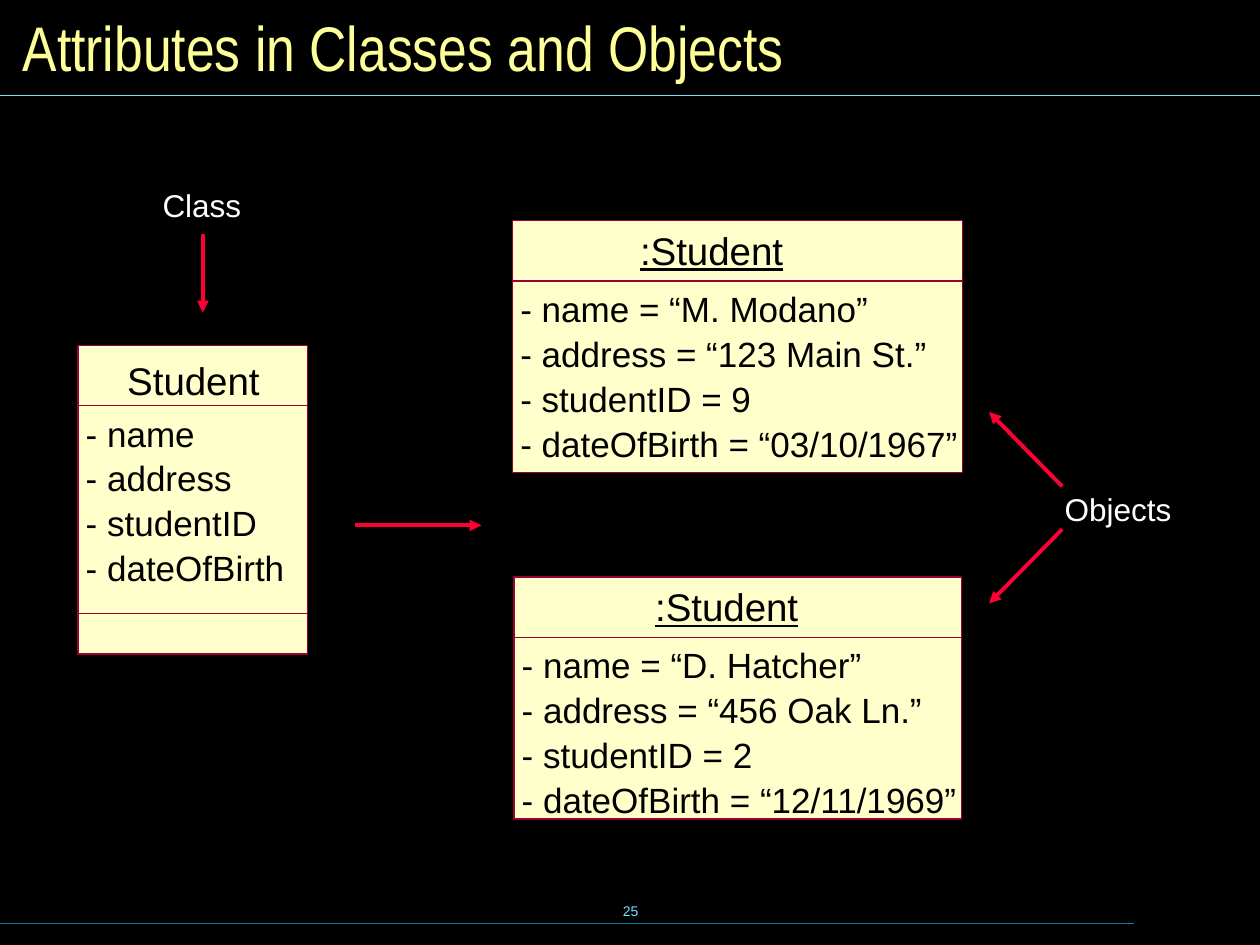
from pptx import Presentation
from pptx.dml.color import RGBColor
from pptx.enum.shapes import MSO_CONNECTOR, MSO_SHAPE
from pptx.enum.text import MSO_ANCHOR, MSO_AUTO_SIZE, PP_ALIGN
from pptx.oxml.ns import qn
from pptx.util import Inches, Pt
from lxml import etree

LINE = MSO_CONNECTOR.STRAIGHT
RECT = MSO_SHAPE.RECTANGLE
TOP, MIDDLE = MSO_ANCHOR.TOP, MSO_ANCHOR.MIDDLE
LEFT, CENTER = PP_ALIGN.LEFT, PP_ALIGN.CENTER

BLACK = RGBColor(0x00, 0x00, 0x00)
WHITE = RGBColor(0xFF, 0xFF, 0xFF)
YELLOW = RGBColor(0xFF, 0xFF, 0x99)
CREAM = RGBColor(0xFF, 0xFF, 0xCC)
MAROON = RGBColor(0x99, 0x00, 0x33)
RED = RGBColor(0xFF, 0x00, 0x33)
CYAN = RGBColor(0x73, 0xE1, 0xFF)
TEAL = RGBColor(0x00, 0x7E, 0x9F)

TITLE = "Attributes in Classes and Objects"
PAGE = "25"

# text, left, top, width, height
LABELS = [
    ("Class", 1.17, 1.42, 0.86, 0.42),
    ("Objects", 8.33, 3.83, 1.08, 0.42),
]

# start x, start y, end x, end y
RULES = [((0, 7.33, 9, 7.33), TEAL), ((0, 0.76, 10, 0.76), CYAN)]
ARROWS = [
    (2.82, 4.17, 3.82, 4.17),
    (1.61, 1.86, 1.61, 2.48),
    (8.43, 4.2, 7.85, 4.79),
    (8.43, 3.86, 7.85, 3.27),
]

# box: left, top, width, height; head: left, top, width of the name
CARDS = [
    dict(name="Student", box=(0.62, 2.74, 1.82, 2.45),
         head=(1.01, 2.83, 1.05), under=False, foot=0.32,
         items=["name", "address", "studentID", "dateOfBirth"]),
    dict(name=":Student", box=(4.07, 1.75, 3.57, 2),
         head=(5.08, 1.8, 1.14), under=True, foot=0,
         items=["name = “M. Modano”", "address = “123 Main St.”",
                "studentID = 9", "dateOfBirth = “03/10/1967”"]),
    dict(name=":Student", box=(4.08, 4.58, 3.55, 1.92),
         head=(5.2, 4.63, 1.14), under=True, foot=0,
         items=["name = “D. Hatcher”", "address = “456 Oak Ln.”",
                "studentID = 2", "dateOfBirth = “12/11/1969”"]),
]
HEAD = 0.48   # height of a card's name part
PITCH = 0.34  # distance between attribute lines


def write(frame, lines, size, color, font="Arial", align=LEFT, anchor=TOP,
          pad=(0, 0), gap=0, under=None, wrap=False):
    """Fill a text frame; pad is the side and the top inset in inches."""
    side, top = (Inches(n) for n in pad)
    look = dict(margin_left=side, margin_right=side, margin_top=top,
                margin_bottom=top, word_wrap=wrap, vertical_anchor=anchor,
                auto_size=MSO_AUTO_SIZE.NONE)
    for key, value in look.items():
        setattr(frame, key, value)
    for i, line in enumerate(lines):
        para = frame.paragraphs[0] if i == 0 else frame.add_paragraph()
        para.alignment = align
        if i:
            para.space_before = Pt(gap)
        run = para.add_run()
        run.text = line
        style = dict(name=font, size=Pt(size), underline=under)
        for key, value in style.items():
            setattr(run.font, key, value)
        run.font.color.rgb = color


def add_text(shapes, box, lines, size, color, **look):
    area = shapes.add_textbox(*map(Inches, box))
    write(area.text_frame, lines, size, color, **look)


def add_line(shapes, ends, color, width, arrow=False):
    line = shapes.add_connector(LINE, *map(Inches, ends))
    line.line.color.rgb = color
    line.line.width = Pt(width)
    if arrow:
        etree.SubElement(line.line._get_or_add_ln(), qn("a:tailEnd"),
                         type="triangle")
    etree.SubElement(line._element.spPr, qn("a:effectLst"))


def add_rect(shapes, box, fill=None):
    rect = shapes.add_shape(RECT, *map(Inches, box))
    rect.shadow.inherit = False
    if fill is None:
        rect.fill.background()
    else:
        rect.fill.solid()
        rect.fill.fore_color.rgb = fill
    rect.line.color.rgb = MAROON
    rect.line.width = Pt(0)


def add_card(slide, card):
    shapes = slide.shapes.add_group_shape().shapes
    x, y, w, h = card["box"]
    body = y + HEAD
    add_rect(shapes, card["box"], CREAM)
    add_rect(shapes, (x, body, w, h - HEAD))
    if card["foot"]:
        add_rect(shapes, (x, y + h - card["foot"], w, card["foot"]))
    add_text(shapes, (*card["head"], 0.37), [card["name"]], 22, BLACK,
             under=card["under"])
    items = ["- " + item for item in card["items"]]
    add_text(shapes, (x + 0.06, body + 0.05, w - 0.1, PITCH * len(items)),
             items, 20, BLACK, gap=1.7)


def main():
    deck = Presentation()
    deck.slide_width, deck.slide_height = Inches(10), Inches(7.5)
    slide = deck.slides.add_slide(deck.slide_layouts[5])
    slide.background.fill.solid()
    slide.background.fill.fore_color.rgb = BLACK
    shapes = slide.shapes

    title = shapes.title
    place = dict(left=0.08, top=0.08, width=9.84, height=0.58)
    for key, value in place.items():
        setattr(title, key, Inches(value))
    write(title.text_frame, [TITLE], 36, YELLOW, font="Arial Narrow",
          anchor=MIDDLE, pad=(0.1, 0.05), wrap=True)

    add_text(shapes, (3.42, 6.98, 3.17, 0.5), [PAGE], 8, CYAN,
             align=CENTER, anchor=MIDDLE, pad=(0.1, 0.05))
    for ends, color in RULES:
        add_line(shapes, ends, color, 0.75)
    for ends in ARROWS:
        add_line(shapes, ends, RED, 2.25, arrow=True)
    for text, *box in LABELS:
        add_text(shapes, box, [text], 18, WHITE, pad=(0.12, 0.06))
    for card in CARDS:
        add_card(slide, card)

    deck.save("out.pptx")


if __name__ == "__main__":
    main()
